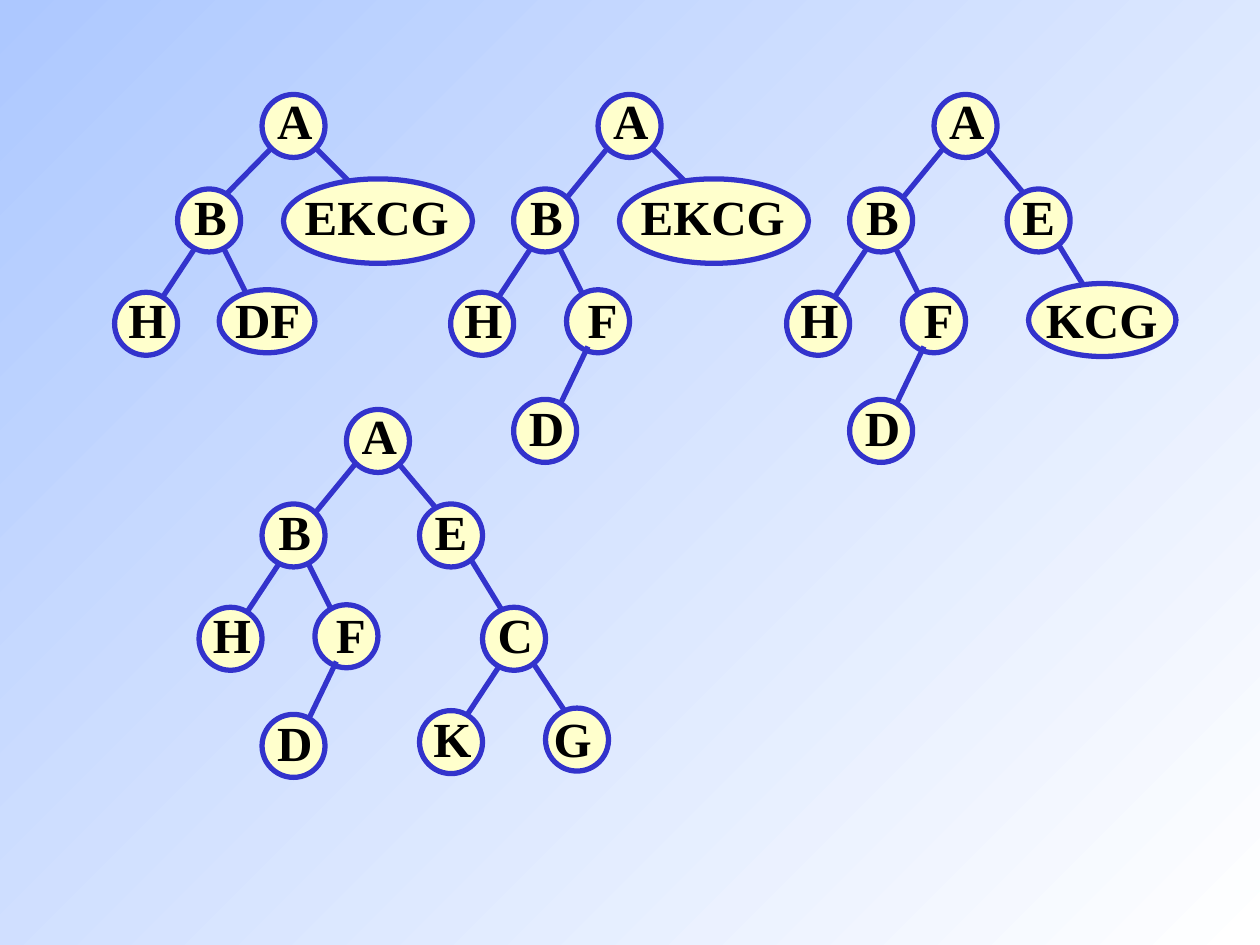
from collections import namedtuple

from pptx import Presentation
from pptx.dml.color import RGBColor
from pptx.enum.shapes import MSO_CONNECTOR, MSO_SHAPE
from pptx.enum.text import MSO_ANCHOR, MSO_AUTO_SIZE, PP_ALIGN
from pptx.oxml.ns import qn
from pptx.util import Inches, Pt

OVAL = MSO_SHAPE.OVAL
STRAIGHT = MSO_CONNECTOR.STRAIGHT
MIDDLE = MSO_ANCHOR.MIDDLE
CENTER = PP_ALIGN.CENTER
FIT_SHAPE = MSO_AUTO_SIZE.SHAPE_TO_FIT_TEXT

BLUE, CREAM, BLACK = "3333CC", "FFFFCC", "000000"
SKY, WHITE = "ADC8FF", "FFFFFF"
FONT = "Times New Roman"
CIRCLE = 0.5
LABEL_HEIGHT = 0.57

# All lengths are inches, measured from the corner of a tree's root circle
Node = namedtuple("Node", "left top label_left label_top label_width width height",
                  defaults=(CIRCLE, CIRCLE))
NODES = {
    "A": Node(0, 0, 0.02, -0.08, 0.48),
    "B": Node(-0.67, 0.75, -0.64, 0.68, 0.46),
    "E": Node(0.58, 0.75, 0.6, 0.68, 0.46),
    "EKCG": Node(0.17, 0.67, 0.22, 0.68, 1.38, 1.5, 0.67),
    "H": Node(-1.17, 1.57, -1.16, 1.5, 0.5),
    "F": Node(-0.25, 1.55, -0.34, 1.5, 0.75),
    "DF": Node(-0.34, 1.55, -0.33, 1.5, 0.75, 0.76),
    "C": Node(1.08, 1.57, 1.1, 1.5, 0.48),
    "KCG": Node(0.75, 1.5, 0.76, 1.5, 1.14, 1.17, 0.58),
    "D": Node(-0.67, 2.42, -0.65, 2.35, 0.48),
    "K": Node(0.58, 2.39, 0.59, 2.32, 0.5),
    "G": Node(1.58, 2.37, 1.42, 2.32, 0.75),
}

# The branch that leads down to each node: x1, y1, x2, y2
LEFT_INNER = (-0.33, 1.17, -0.08, 1.67)
RIGHT_OUTER = (0.92, 1.08, 1.33, 1.75)
BRANCHES = {
    "B": (0.08, 0.42, -0.33, 0.92),
    "E": (0.33, 0.33, 0.75, 0.83),
    "EKCG": (0.42, 0.42, 0.92, 0.92),
    "H": (-0.5, 1.17, -0.83, 1.67),
    "F": LEFT_INNER,
    "DF": LEFT_INNER,
    "C": RIGHT_OUTER,
    "KCG": RIGHT_OUTER,
    "D": (-0.08, 2, -0.33, 2.52),
    "K": (1.25, 1.98, 0.92, 2.48),
    "G": (1.42, 1.92, 1.75, 2.42),
}
WIDE_BRANCH = {"B": (0.08, 0.42, -0.41, 0.92)}
OVER_PARENT = {"D"}  # branches that lie on top of the parent's circle

# Root corner, nodes from top to bottom, branches that differ
FIRST_ROOT, TREE_STEP = 2.08, 8 / 3
TREES = [
    (FIRST_ROOT, 0.75, ["A", "EKCG", "B", "H", "DF"], WIDE_BRANCH),
    (FIRST_ROOT + TREE_STEP, 0.75, ["A", "EKCG", "B", "H", "F", "D"], {}),
    (FIRST_ROOT + 2 * TREE_STEP, 0.75, ["A", "E", "B", "H", "F", "D", "KCG"], {}),
    (2.75, 3.25, ["A", "E", "B", "H", "F", "D", "C", "K", "G"], {}),
]


def color(value):
    return RGBColor.from_string(value)


def outline(shape):
    shape.line.color.rgb = color(BLUE)
    shape.line.width = Pt(3)


def paint_background(page):
    fill = page.background.fill
    fill.gradient()
    fill.gradient_angle = 315
    for stop, value, position in zip(fill.gradient_stops, (SKY, WHITE), (0, 1)):
        stop.color.rgb = color(value)
        stop.position = position


def add_branch(shapes, left, top, ends):
    x1, y1, x2, y2 = ends
    branch = shapes.add_connector(STRAIGHT, Inches(left + x1), Inches(top + y1),
                                  Inches(left + x2), Inches(top + y2))
    outline(branch)
    properties = branch._element.spPr
    properties.append(properties.makeelement(qn("a:effectLst"), {}))


def add_node(shapes, left, top, text):
    node = NODES[text]
    oval = shapes.add_shape(OVAL, Inches(left + node.left), Inches(top + node.top),
                            Inches(node.width), Inches(node.height))
    oval.shadow.inherit = False
    oval.fill.solid()
    oval.fill.fore_color.rgb = color(CREAM)
    outline(oval)

    box = shapes.add_textbox(Inches(left + node.label_left), Inches(top + node.label_top),
                             Inches(node.label_width), Inches(LABEL_HEIGHT))
    frame = box.text_frame
    frame.text = text
    frame.word_wrap = False
    frame.auto_size = FIT_SHAPE
    frame.vertical_anchor = MIDDLE
    para = frame.paragraphs[0]
    para.alignment = CENTER
    font = para.runs[0].font
    font.name, font.size, font.bold = FONT, Pt(28), True
    font.color.rgb = color(BLACK)


def add_tree(page, left, top, names, special):
    shapes = page.shapes.add_group_shape().shapes
    branches = {**BRANCHES, **special}
    for name in names:
        if name in branches and name not in OVER_PARENT:
            add_branch(shapes, left, top, branches[name])
    for name in names:
        if name in OVER_PARENT:
            add_branch(shapes, left, top, branches[name])
        add_node(shapes, left, top, name)


def main():
    deck = Presentation()
    deck.slide_width, deck.slide_height = Inches(10), Inches(7.5)
    page = deck.slides.add_slide(deck.slide_layouts[6])
    paint_background(page)
    for left, top, names, special in TREES:
        add_tree(page, left, top, names, special)
    deck.save("out.pptx")


if __name__ == "__main__":
    main()
